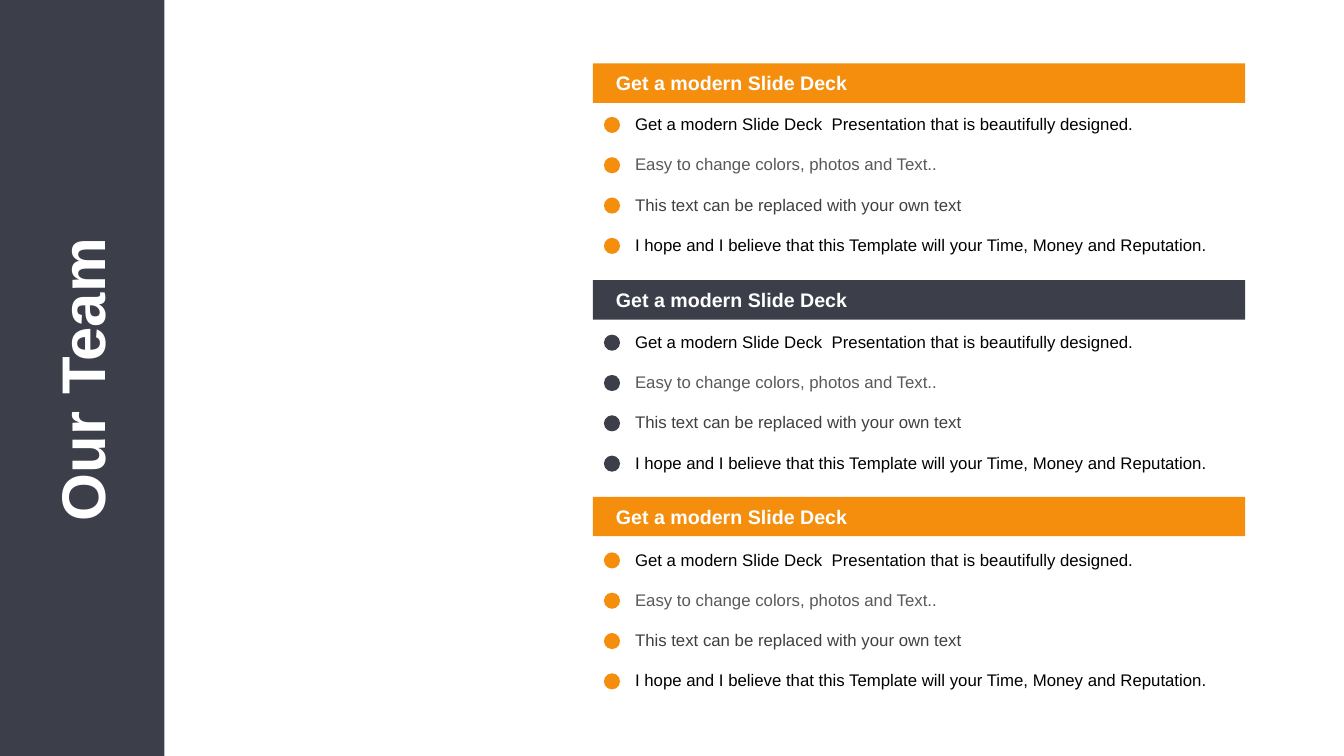
from pptx import Presentation
from pptx.dml.color import RGBColor
from pptx.enum.shapes import MSO_SHAPE as Shape
from pptx.enum.text import MSO_ANCHOR as Anchor, MSO_AUTO_SIZE as AutoSize, PP_ALIGN as Align
from pptx.util import Pt

PX = 9144  # EMU, 100 px to the inch
FONT = "Arial"
ORANGE = RGBColor(0xF4, 0x8E, 0x0C)
SLATE = RGBColor(0x3C, 0x3E, 0x4A)
WHITE = RGBColor(0xFF, 0xFF, 0xFF)
BLACK = RGBColor(0x00, 0x00, 0x00)
GRAY = RGBColor(0x59, 0x59, 0x59)
DARK_GRAY = RGBColor(0x40, 0x40, 0x40)

HEADING = "Get a modern Slide Deck"
POINTS = [
    ("Get a modern Slide Deck  Presentation that is beautifully designed.", BLACK),
    ("Easy to change colors, photos and Text..", GRAY),
    ("This text can be replaced with your own text", DARK_GRAY),
    ("I hope and I believe that this Template will your Time, Money and Reputation.", BLACK),
]
SECTION_COLORS = [ORANGE, SLATE, ORANGE]
SECTION_LEFT, SECTION_WIDTH = 588, 647
HEADING_TOP, HEADING_PITCH = 63, 215
LIST_TOP, LIST_PITCH = 108, 216
POINT_PITCH = 40


def scaled(*lengths):
    return [length * PX for length in lengths]


def add_filled(page, kind, box, color):
    shape = page.shapes.add_shape(kind, *scaled(*box))
    shape.shadow.inherit = False
    shape.fill.solid()
    shape.fill.fore_color.rgb = color
    shape.line.fill.background()
    return shape


def write(frame, text, size, color, bold=False):
    frame.text = text
    font = frame.paragraphs[0].runs[0].font
    font.name, font.size, font.bold = FONT, Pt(size), bold
    font.color.rgb = color


def add_text(page, box, text, size, color, bold=False, anchor=Anchor.TOP):
    frame = page.shapes.add_textbox(*scaled(*box)).text_frame
    frame.word_wrap = True
    frame.vertical_anchor = anchor
    write(frame, text, size, color, bold)


def add_title_rail(page, left, top, width, height):
    """Dark side band with the slide title turned to read upwards."""
    rail = add_filled(page, Shape.RECTANGLE, (left, top, width, height), SLATE)
    title = page.shapes.title
    title.element.addprevious(rail.element)
    title_width, title_height = 304, 84
    title.left, title.top, title.width, title.height = scaled(
        left + (width - title_width) // 2, top + (height - title_height) // 2,
        title_width, title_height)
    title.rotation = 270
    frame = title.text_frame
    write(frame, "Our Team", 44, WHITE, bold=True)
    frame.word_wrap = False
    frame.auto_size = AutoSize.SHAPE_TO_FIT_TEXT
    frame.vertical_anchor = Anchor.TOP
    frame.paragraphs[0].alignment = Align.LEFT


def add_heading(page, left, top, width, color):
    add_filled(page, Shape.RECTANGLE, (left, top, width, 39), color)
    add_text(page, (left + 13, top + 4, 362, 31), HEADING, 14, WHITE,
             bold=True, anchor=Anchor.MIDDLE)


def add_points(page, left, top, width, color):
    """Rows of a coloured dot and a line of text."""
    for row, (text, text_color) in enumerate(POINTS):
        row_top = top + row * POINT_PITCH
        add_filled(page, Shape.OVAL, (left + 11, row_top + 8, 16, 16), color)
        add_text(page, (left + 32, row_top, width - 19, 30), text, 12, text_color)


def main():
    deck = Presentation()
    deck.slide_width, deck.slide_height = scaled(1333, 750)
    page = deck.slides.add_slide(deck.slide_layouts.get_by_name("Title Only"))
    add_title_rail(page, 0, 0, 163, 750)
    for index, color in enumerate(SECTION_COLORS):
        add_heading(page, SECTION_LEFT, HEADING_TOP + index * HEADING_PITCH,
                    SECTION_WIDTH, color)
        add_points(page, SECTION_LEFT, LIST_TOP + index * LIST_PITCH,
                   SECTION_WIDTH, color)
    deck.save("out.pptx")


if __name__ == "__main__":
    main()
